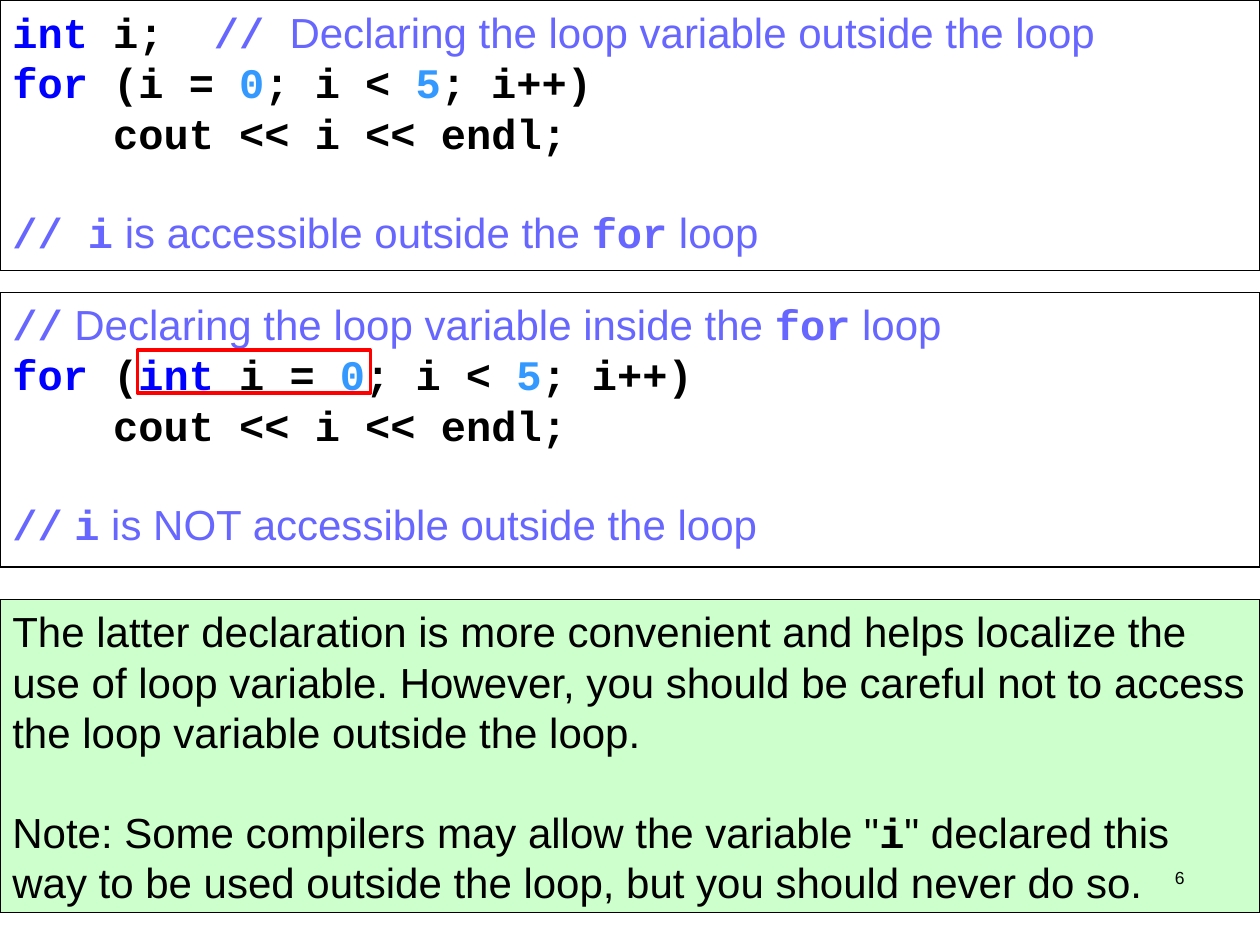
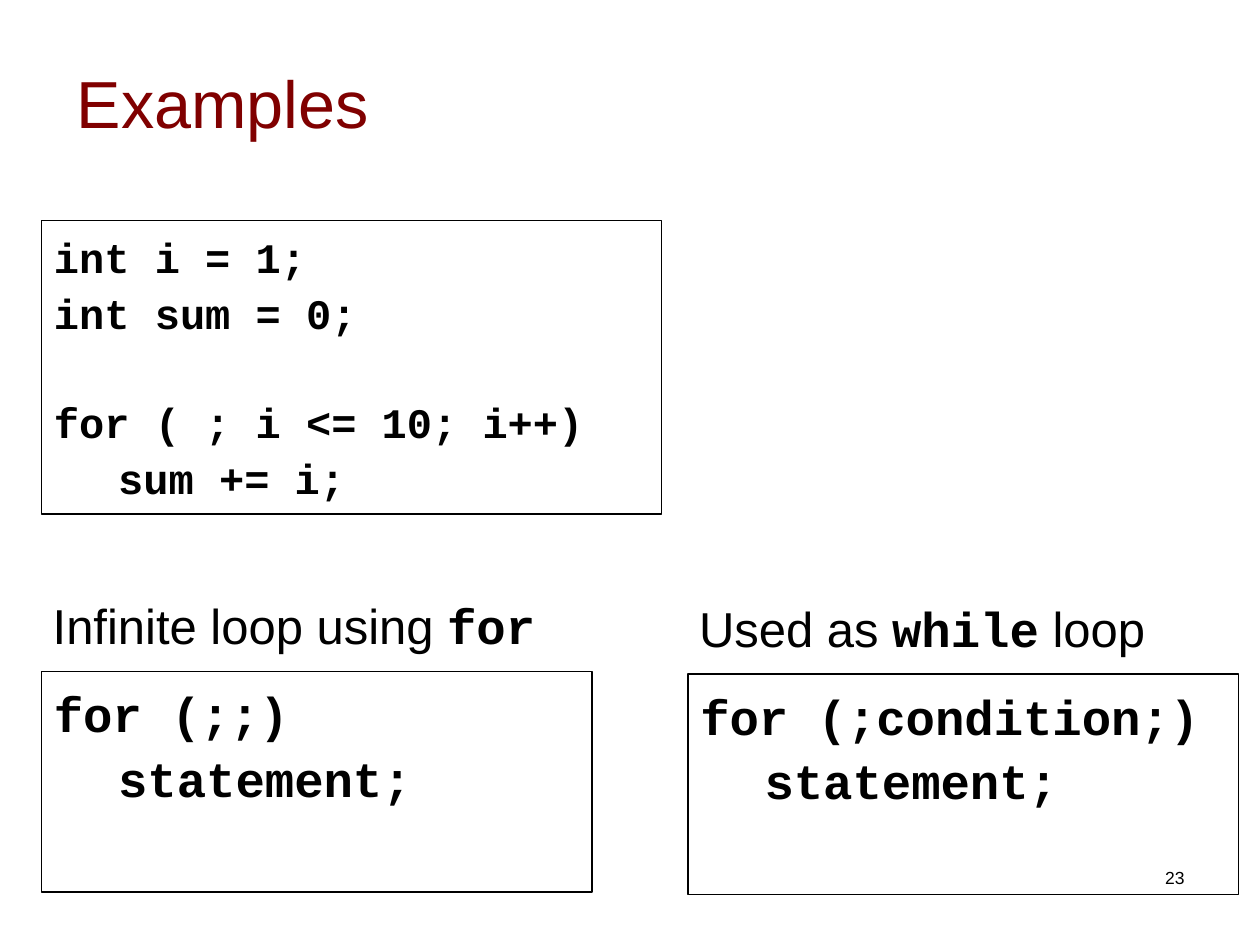
from pptx import Presentation
from pptx import util as u
from pptx.dml.color import RGBColor
from pptx.enum import shapes, text

COLOURS = {
    "black": "000000", "white": "FFFFFF", "green": "CCFFCC", "red": "FF0000",
    "maroon": "800000", "keyword": "0000FF", "number": "3399FF", "comment": "6767FF",
}
PROSE, CODE = "Arial", "Courier New"
# Each kind of run: font, bold, colour
RUNS = {
    "prose": (PROSE, False, "black"),
    "code": (CODE, True, "black"),
    "keyword": (CODE, True, "keyword"),
    "number": (CODE, True, "number"),
    "comment": (PROSE, False, "comment"),
    "comment code": (CODE, True, "comment"),
}


def colour(name):
    return RGBColor.from_string(COLOURS[name])


def line(*runs, indent=0, gap=0):
    """One paragraph: (text, kind) runs, left indent in inches, gap above in points."""
    return {"runs": runs, "indent": indent, "gap": gap}


def write(frame, lines, size=24, spacing=None, align=text.PP_ALIGN.LEFT,
          anchor=text.MSO_ANCHOR.TOP, wrap=True):
    frame.word_wrap = wrap
    frame.vertical_anchor = anchor
    for index, item in enumerate(lines):
        paragraph = frame.paragraphs[0] if index == 0 else frame.add_paragraph()
        paragraph.alignment = align
        if spacing:
            paragraph.line_spacing = spacing
        if item["gap"]:
            paragraph.space_before = u.Pt(item["gap"])
        if item["indent"]:
            properties = paragraph._p.get_or_add_pPr()
            properties.set("marL", str(u.Inches(item["indent"])))
            properties.set("indent", "0")
        for words, kind in item["runs"]:
            run = paragraph.add_run()
            run.text = words
            run.font.size = u.Pt(size)
            run.font.name, run.font.bold, tint = RUNS[kind]
            run.font.color.rgb = colour(tint)


class Deck:
    TITLE_ONLY, BLANK = 5, 6

    def __init__(self):
        self.presentation = Presentation()
        self.presentation.slide_width = u.Inches(10)
        self.presentation.slide_height = u.Inches(7.5)
        self.slide = None

    def start(self, number, title=None):
        layout = self.TITLE_ONLY if title else self.BLANK
        layouts = self.presentation.slide_layouts
        self.slide = self.presentation.slides.add_slide(layouts[layout])
        if title:
            self.title(title)
        self.number = number

    def title(self, words):
        shape = self.slide.shapes.title
        shape.left, shape.top = u.Inches(0.51), u.Inches(0.18)
        shape.width, shape.height = u.Inches(9), u.Inches(1.25)
        write(shape.text_frame, [line((words, "prose"))], size=38,
              anchor=text.MSO_ANCHOR.MIDDLE)
        shape.text_frame.paragraphs[0].runs[0].font.color.rgb = colour("maroon")

    def box(self, left, top, width, height, lines=(), fill="white",
            border="black", weight=0.74, **style):
        shape = self.slide.shapes.add_shape(
            shapes.MSO_SHAPE.RECTANGLE,
            *map(u.Inches, (left, top, width, height)))
        shape.shadow.inherit = False
        if fill:
            shape.fill.solid()
            shape.fill.fore_color.rgb = colour(fill)
        else:
            shape.fill.background()
        shape.line.color.rgb = colour(border)
        shape.line.width = u.Pt(weight)
        write(shape.text_frame, lines, **style)

    def label(self, left, top, width, height, lines, **style):
        shape = self.slide.shapes.add_textbox(
            *map(u.Inches, (left, top, width, height)))
        write(shape.text_frame, lines, **style)

    def finish(self):
        """Slide number, in front of everything else."""
        self.label(7.17, 6.83, 2.33, 0.5, [line((self.number, "prose"))],
                   size=10, align=text.PP_ALIGN.RIGHT)


deck = Deck()

# Slide 1: scope of the loop variable
deck.start("6")
BLANK_LINE = 28
loop_body = line(("cout << i << endl;", "code"), indent=0.8)
loop_test = [("; i < ", "code"), ("5", "number"), ("; i++)", "code")]

deck.box(0, 0, 10, 2.15, [
    line(("int", "keyword"), (" i;  ", "code"), ("// ", "comment code"),
         ("Declaring the loop variable outside the loop", "comment")),
    line(("for", "keyword"), (" (i = ", "code"), ("0", "number"), *loop_test),
    loop_body,
    line(("// i", "comment code"), (" is accessible outside the ", "comment"),
         ("for", "comment code"), (" loop", "comment"), gap=BLANK_LINE),
])
deck.box(0, 2.32, 10, 2.18, [
    line(("//", "comment code"),
         (" Declaring the loop variable inside the ", "comment"),
         ("for", "comment code"), (" loop", "comment")),
    line(("for", "keyword"), (" (", "code"), ("int ", "keyword"),
         ("i = ", "code"), ("0", "number"), *loop_test),
    loop_body,
    line(("//", "comment code"), (" ", "comment"), ("i", "comment code"),
         (" is NOT accessible outside the loop", "comment"), gap=BLANK_LINE),
])
deck.box(0, 4.76, 10, 2.48, [
    line(("The latter declaration is more convenient and helps localize the use "
          "of loop variable. However, you should be careful not to access the "
          "loop variable outside the loop.", "prose")),
    line(('Note: Some compilers may allow the variable "', "prose"), ("i", "code"),
         ('" declared this way to be used outside the loop, but you should '
          "never do so.", "prose"), gap=BLANK_LINE),
], fill="green")
# Frame around the declaration inside the loop header
deck.box(1.09, 2.78, 1.85, 0.34, fill=None, border="red", weight=2)
deck.finish()

# Slide 2: loops with parts left out
deck.start("23", title="Examples")
INDENT = 0.51
deck.box(0.33, 1.75, 4.92, 2.33, [
    line(("int i = 1;", "code")),
    line(("int sum = 0;", "code")),
    line(("for ( ; i <= 10; i++)", "code"), gap=31),
    line(("sum += i;", "code"), indent=INDENT),
], spacing=1.1)

# Two special forms, each with its caption above
forms = [
    (0.33, 5.33, 4.14, "for (;;)",
     [("Infinite loop using ", "prose"), ("for", "code")]),
    (5.46, 5.35, 3.74, "for (;condition;)",
     [("Used as ", "prose"), ("while", "code"), (" loop", "prose")]),
]
for left, top, caption_width, header, caption in forms:
    deck.box(left, top, 4.37, 1.75, [
        line((header, "code")),
        line(("statement;", "code"), indent=INDENT),
    ], size=28, spacing=1.1)
    deck.label(left - 0.01, top - 0.65, caption_width, 0.57, [line(*caption)],
               size=28, wrap=False)
deck.finish()

deck.presentation.save("out.pptx")
